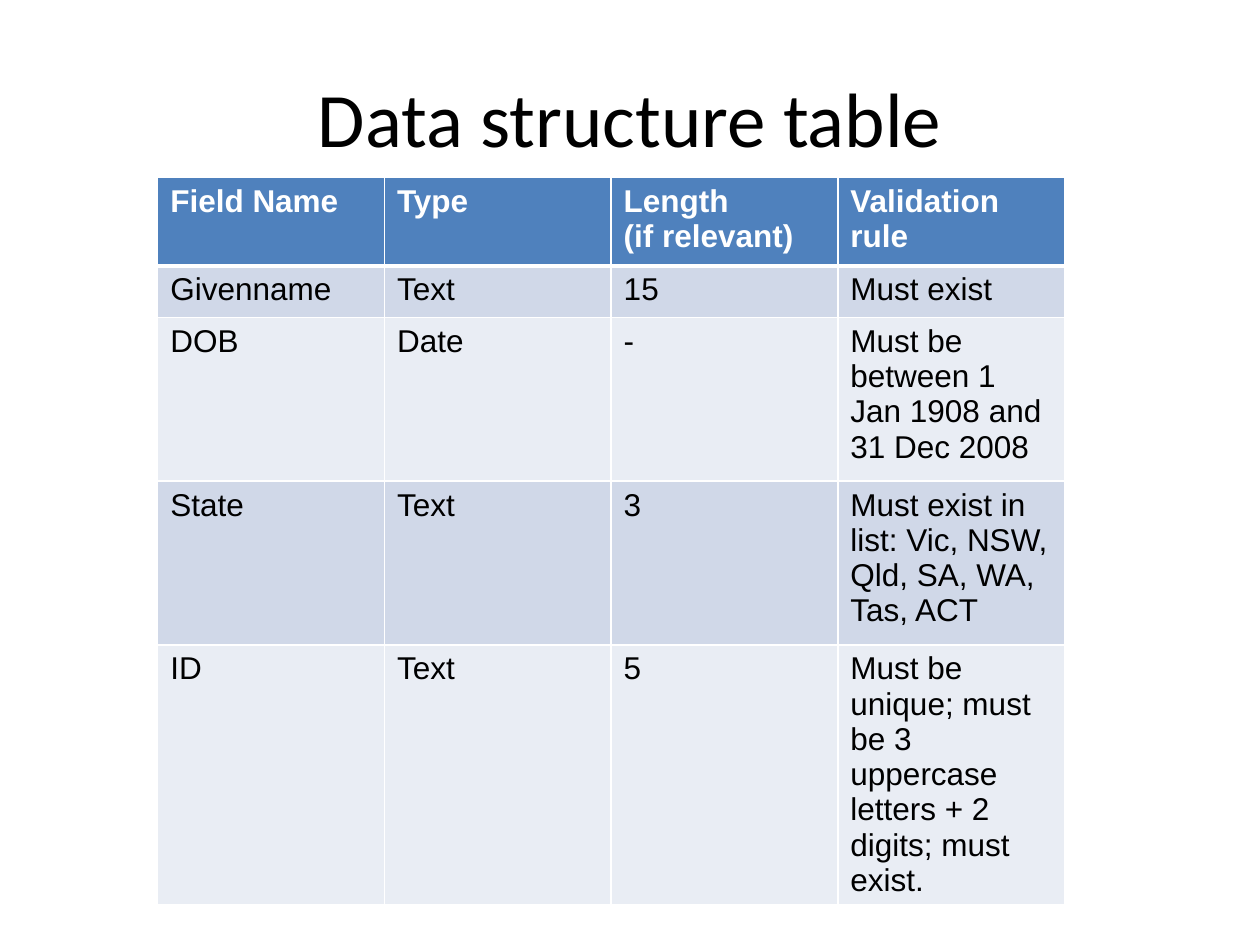
from dataclasses import dataclass

from lxml.etree import SubElement
from pptx import Presentation
from pptx.dml.color import RGBColor
from pptx.enum.text import MSO_ANCHOR as Anchor, PP_ALIGN as Align
from pptx.oxml.ns import qn
from pptx.util import Cm, Pt

BLACK = RGBColor(0x00, 0x00, 0x00)
WHITE = RGBColor(0xFF, 0xFF, 0xFF)
HEADER_BLUE = RGBColor(0x4F, 0x81, 0xBD)
BAND_DARK = RGBColor(0xD0, 0xD8, 0xE8)
BAND_LIGHT = RGBColor(0xE9, 0xED, 0xF4)

COLUMN_WIDTH = Cm(4.57)
THIN, THICK = Pt(1), Pt(3)


@dataclass
class FieldRow:
    """One table row: its height and the text of its cells."""
    height: float
    texts: tuple[str, ...]


ROWS = [
    FieldRow(1.78, ("Field Name", "Type", "Length\n(if relevant)", "Validation rule")),
    FieldRow(1.04, ("Givenname", "Text", "15", "Must exist")),
    FieldRow(3.3, ("DOB", "Date", "-", "Must be between 1 Jan 1908 and 31 Dec 2008")),
    FieldRow(3.3, ("State", "Text", "3",
                   "Must exist in list: Vic, NSW, Qld, SA, WA, Tas, ACT")),
    FieldRow(4.83, ("ID", "Text", "5",
                    "Must be unique; must be 3 uppercase letters + 2 digits; must exist.")),
]


def add_run(paragraph, text: str, font_name: str, size: int,
            color: RGBColor, bold: bool = False) -> None:
    """Append one formatted run to a paragraph."""
    run = paragraph.add_run()
    run.text = text
    font = run.font
    font.name, font.size, font.bold = font_name, Pt(size), bold
    font.color.rgb = color


def set_borders(cell, top: int, bottom: int) -> None:
    """Draw white lines on all four sides of a cell."""
    properties = cell._tc.get_or_add_tcPr()
    for side, width in (("L", THIN), ("R", THIN), ("T", top), ("B", bottom)):
        line = SubElement(properties, qn(f"a:ln{side}"), w=str(width))
        fill = SubElement(line, qn("a:solidFill"))
        SubElement(fill, qn("a:srgbClr"), val=str(WHITE))


def format_cell(cell, text: str, row_index: int) -> None:
    """Write and style a cell according to its row."""
    is_header = row_index == 0
    set_borders(cell, THICK if row_index == 1 else THIN, THICK if is_header else THIN)
    cell.fill.solid()
    band = BAND_DARK if row_index % 2 else BAND_LIGHT
    cell.fill.fore_color.rgb = HEADER_BLUE if is_header else band
    paragraph = cell.text_frame.paragraphs[0]
    for line_index, line in enumerate(text.split("\n")):
        if line_index:
            paragraph.add_line_break()
        add_run(paragraph, line, "Arial", 18, WHITE if is_header else BLACK, is_header)


def add_title(slide, text: str) -> None:
    """Place and fill the title placeholder."""
    title = slide.shapes.title
    title.left, title.top = Cm(1.27), Cm(0.76)
    title.width, title.height = Cm(22.86), Cm(3.18)
    title.text_frame.vertical_anchor = Anchor.MIDDLE
    paragraph = title.text_frame.paragraphs[0]
    paragraph.alignment = Align.CENTER
    add_run(paragraph, text, "Calibri", 44, BLACK)


def add_field_table(slide, rows: list[FieldRow]) -> None:
    """Add the table of fields."""
    column_count = len(rows[0].texts)
    height = Cm(sum(row.height for row in rows))
    table = slide.shapes.add_table(len(rows), column_count, Cm(3.18), Cm(3.58),
                                   COLUMN_WIDTH * column_count, height).table
    for column in table.columns:
        column.width = COLUMN_WIDTH
    for row_index, row in enumerate(rows):
        table.rows[row_index].height = Cm(row.height)
        for column_index, text in enumerate(row.texts):
            format_cell(table.cell(row_index, column_index), text, row_index)


def main() -> None:
    """Build and save the slide."""
    presentation = Presentation()
    presentation.slide_width, presentation.slide_height = Cm(25.4), Cm(19.05)
    slide = presentation.slides.add_slide(presentation.slide_layouts[5])
    add_title(slide, "Data structure table")
    add_field_table(slide, ROWS)
    presentation.save("out.pptx")


main()
